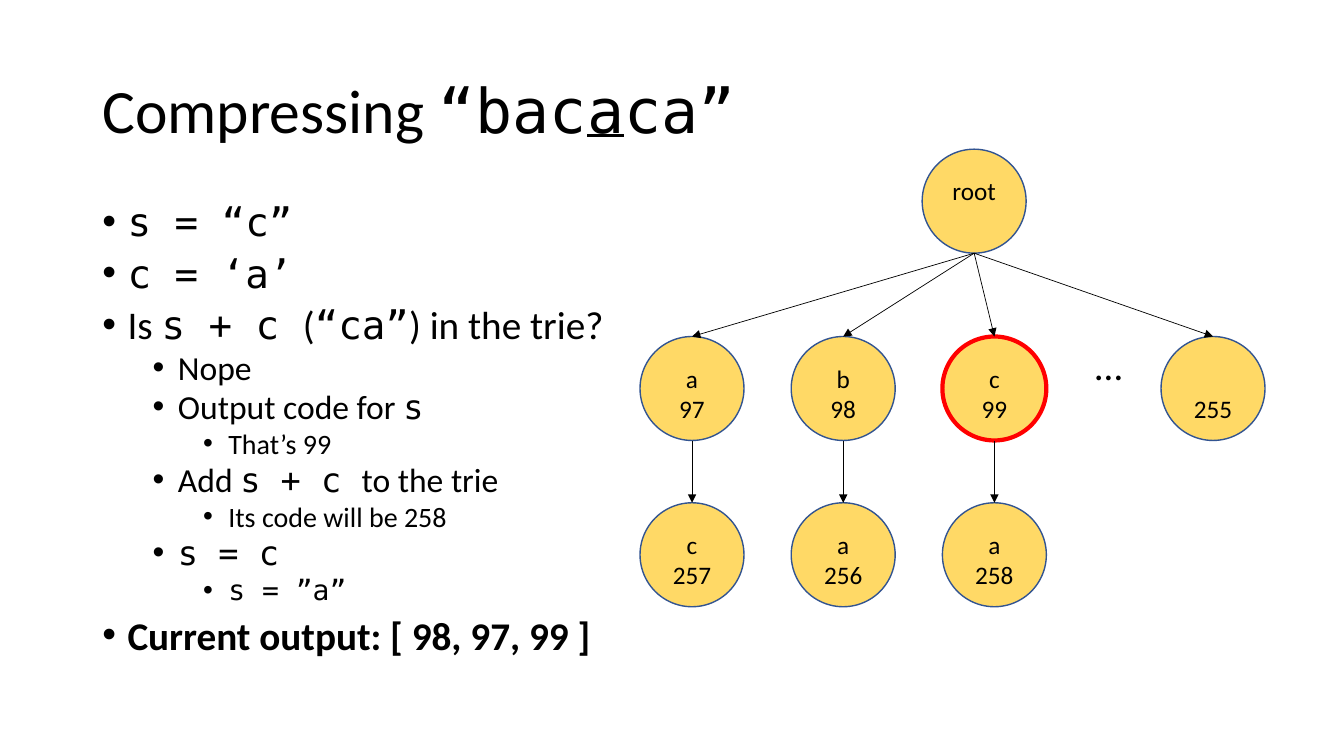
from lxml.etree import SubElement
from pptx import Presentation
from pptx.dml.color import RGBColor
from pptx.enum.shapes import MSO_CONNECTOR, MSO_SHAPE
from pptx.enum.text import MSO_ANCHOR, MSO_AUTO_SIZE, PP_ALIGN
from pptx.oxml.ns import qn
from pptx.util import Cm, Pt

COLORS = {name: RGBColor.from_string(value) for name, value in {
    "text": "000000", "node": "FFD966", "outline": "325491", "current": "FF0000",
}.items()}
TEXT_FONT, CODE_FONT = "Calibri", "DejaVu Sans Mono"


def write_runs(paragraph, text, size):
    """Fill a paragraph; parts between backticks are set in the code font."""
    paragraph.font.size = Pt(size)
    paragraph.font.color.rgb = COLORS["text"]
    for index, part in enumerate(text.split("`")):
        if part:
            run = paragraph.add_run()
            run.text = part
            run.font.name = CODE_FONT if index % 2 else TEXT_FONT


def add_label(center, top, width, height, lines, size=18):
    """Add a centred text box with one paragraph per line."""
    box = slide.shapes.add_textbox(Cm(center - width / 2), Cm(top), Cm(width), Cm(height))
    for index, line in enumerate(lines):
        paragraph = box.text_frame.add_paragraph() if index else box.text_frame.paragraphs[0]
        paragraph.alignment = PP_ALIGN.CENTER
        write_runs(paragraph, line, size)


presentation = Presentation()
presentation.slide_width, presentation.slide_height = Cm(33.87), Cm(19.05)
slide = presentation.slides.add_slide(presentation.slide_layouts[5])

# Title
title = slide.shapes.title
title.left, title.top, title.width, title.height = Cm(2.33), Cm(1.01), Cm(29.21), Cm(3.68)
title.text_frame.vertical_anchor = MSO_ANCHOR.MIDDLE
title.text_frame.auto_size = MSO_AUTO_SIZE.NONE
heading = title.text_frame.paragraphs[0]
heading.alignment = PP_ALIGN.LEFT
heading.line_spacing = 0.9
write_runs(heading, "Compressing `“bac``a``ca”`", 44)
heading.runs[2].font.underline = True

# Algorithm steps: (level, text)
steps = [
    (0, "`s = “c”`"),
    (0, "`c = ‘a’`"),
    (0, "Is `s + c `(`“ca”`) in the trie?"),
    (1, "Nope"),
    (1, "Output code for `s`"),
    (2, "That’s 99"),
    (1, "Add `s + c `to the trie"),
    (2, "Its code will be 258"),
    (1, "`s = c`"),
    (2, "`s = ”a”`"),
    (0, "Current output: [ 98, 97, 99 ]"),
]
body = slide.shapes.add_textbox(Cm(2.33), Cm(5.08), Cm(13.82), Cm(12.09)).text_frame
body.word_wrap = True
for index, (level, text) in enumerate(steps):
    paragraph = body.add_paragraph() if index else body.paragraphs[0]
    paragraph.level = level
    paragraph.line_spacing = 0.8
    paragraph.space_before = Pt(5 if level else 10)
    properties = paragraph._p.get_or_add_pPr()
    properties.set("marL", str(Cm(0.635 + 1.27 * level)))
    properties.set("indent", str(Cm(-0.635)))
    SubElement(properties, qn("a:buFont"), typeface="Arial")
    SubElement(properties, qn("a:buChar"), char="•")
    write_runs(paragraph, text, 28 - 4 * level)
paragraph.font.bold = True

# Trie: nodes are (centre, top, label lines)
DIAMETER = 2.62
ROOT_TOP, PARENT_TOP, CHILD_TOP = 3.76, 8.48, 12.67
LABEL_OFFSET, LINE_HEIGHT = 0.54, 0.77
root_center, last_center = 24.55, 30.57
columns = [17.44 + 3.81 * index for index in range(3)]
parents = [("a", "97"), ("b", "98"), ("c", "99")]
children = [("c", "257"), ("a", "256"), ("a", "258")]

nodes = [(root_center, ROOT_TOP, ["root"])]
nodes += [(center, PARENT_TOP, lines) for center, lines in zip(columns, parents)]
nodes += [(last_center, PARENT_TOP, ["255"])]
nodes += [(center, CHILD_TOP, lines) for center, lines in zip(columns, children)]

for center, top, lines in nodes:
    is_current = "99" in lines
    circle = slide.shapes.add_shape(
        MSO_SHAPE.OVAL, Cm(center - DIAMETER / 2), Cm(top), Cm(DIAMETER), Cm(DIAMETER))
    circle.shadow.inherit = False
    circle.fill.solid()
    circle.fill.fore_color.rgb = COLORS["node"]
    circle.line.color.rgb = COLORS["current" if is_current else "outline"]
    circle.line.width = Pt(3 if is_current else 1)
    # The last parent has a code but no letter, so its code sits on the second line
    skipped = LINE_HEIGHT if lines == ["255"] else 0
    add_label(center, top + LABEL_OFFSET + skipped, DIAMETER, 1.8 - skipped, lines)

add_label(27.94, PARENT_TOP, 3.3, 2.16, ["…"], 28)

# Arrows: (start centre, start node top, end centre, end node top)
arrows = [(root_center, ROOT_TOP, center, PARENT_TOP) for center in columns + [last_center]]
arrows += [(center, PARENT_TOP, center, CHILD_TOP) for center in columns]
for start, start_top, end, end_top in arrows:
    arrow = slide.shapes.add_connector(
        MSO_CONNECTOR.STRAIGHT, Cm(start), Cm(start_top + DIAMETER), Cm(end), Cm(end_top))
    arrow.line.color.rgb = COLORS["text"]
    arrow.line.width = Pt(0.5)
    SubElement(arrow.line._get_or_add_ln(), qn("a:tailEnd"), type="triangle")
    SubElement(arrow._element.spPr, qn("a:effectLst"))

presentation.save("out.pptx")
